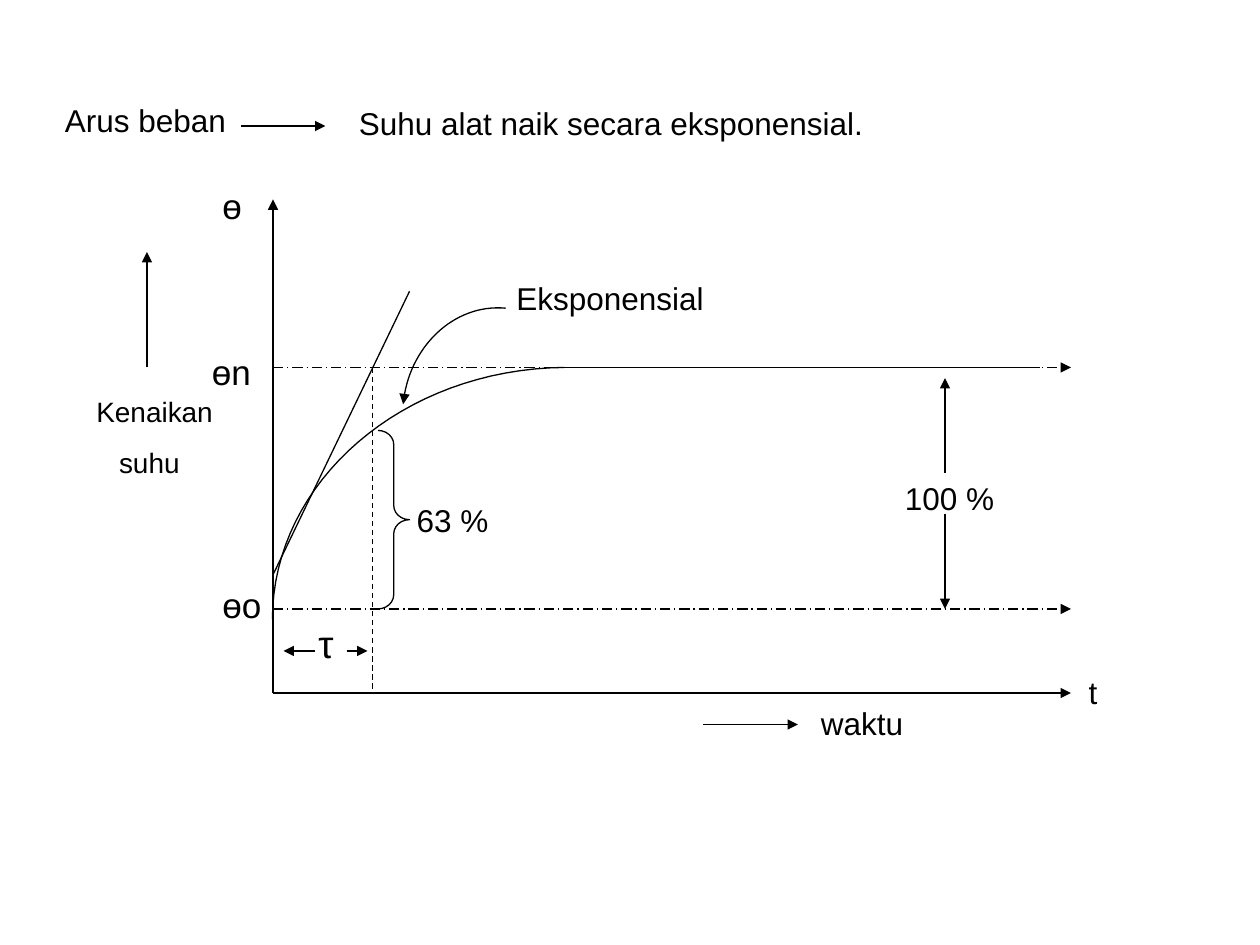
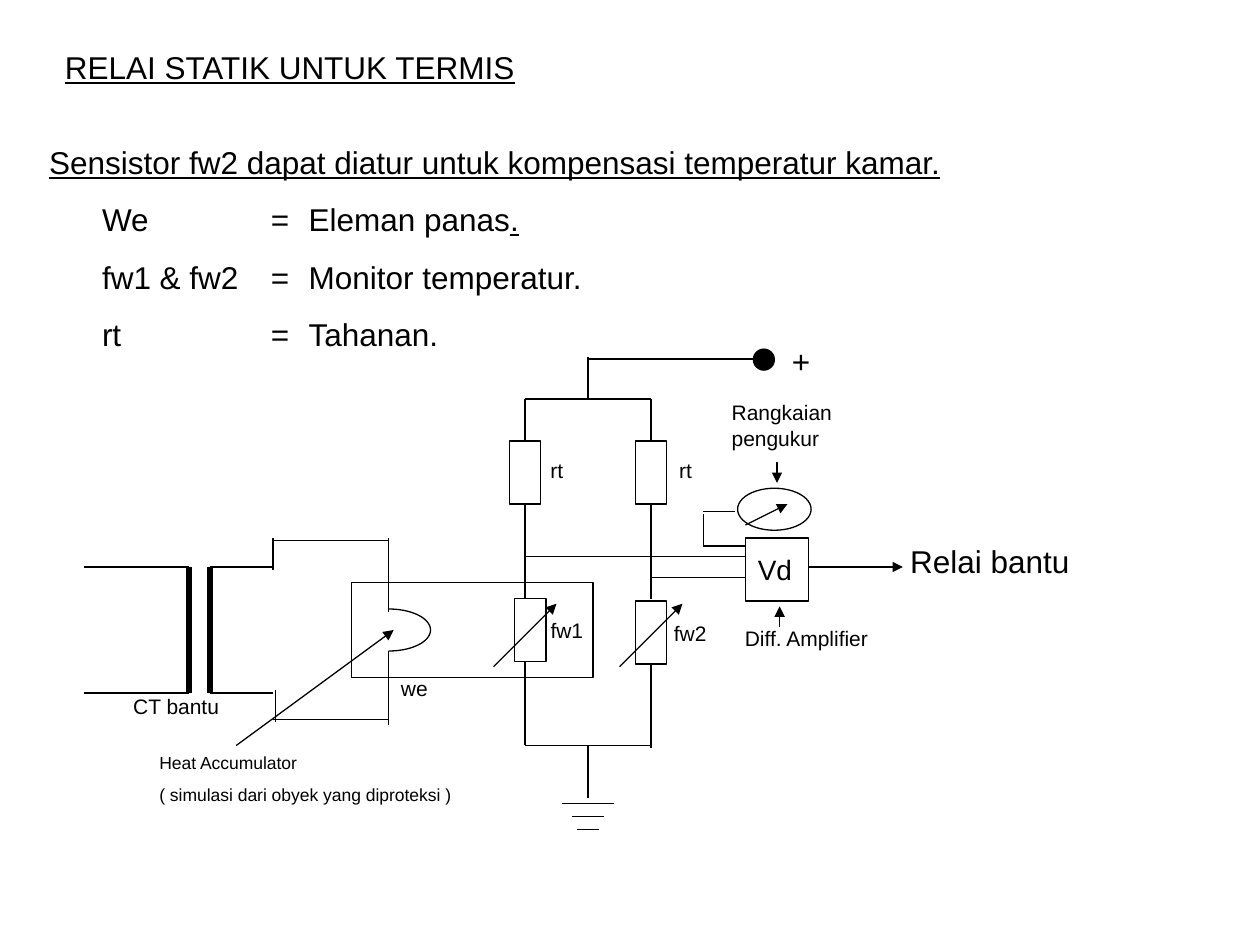
from lxml import etree
from pptx import Presentation
from pptx.dml.color import RGBColor
from pptx.enum import dml, shapes, text
from pptx.oxml import ns
from pptx.util import Inches, Pt

BLACK = RGBColor(0, 0, 0)
FONT = "Arial"
CELL = 1 / 24  # the slide is a grid of 240 columns by 180 rows
THIN, THICK = 0.75, 3
DASH = dml.MSO_LINE.DASH
CHAIN = dml.MSO_LINE.LONG_DASH_DOT
KIND = shapes.MSO_SHAPE

# Labels: column, row, width, size, paragraphs (text, or runs of text and underline)
GRAPH = dict(
    labels=[
        (10, 18, 174, 18, ["Arus beban"]),
        (66, 18.7, 138, 18, ["Suhu alat naik secara eksponensial."]),
        (16, 74, 28, 16, ["Kenaikan", "\tsuhu"], [0.18]),
        (170, 90, 24, 18, ["100 %"]),
        (205, 127, 10, 18, ["t"]),
        (96, 52, 68, 18, ["Eksponensial"]),
        (77, 94.3, 22, 18, ["63 %"]),
        (154, 133, 34, 18, ["waktu"]),
    ],
    symbols=[
        (40, 34, 8, 20, ["ө"]),
        (38, 65.5, 16, 20, ["өn"]),
        (40, 110, 18, 20, ["өo"]),
        (58.3, 116.9, 7.7, 22, ["τ"]),
    ],
    lines=[(104, 70, 198, 70), (52, 109.5, 78, 55.5)],
    dashes=[(71, 70, 71, 132)],
    chains=[(52, y, 204, y) for y in (70, 116)],
    arrows=[
        (46, 24, 62, 24),
        (52, 132, 52, 38), (52, 132, 204, 132),
        (28, 70, 28, 48), (134, 138, 152, 138),
        (180, 90, 180, 72), (180, 98, 180, 116),
        (66, 124, 70, 124), (60, 124, 54, 124),
    ],
    curves=[
        ([(107.5, 70), (76.8, 70.3), (51.9, 91.7), (51.9, 118)], False),
        ([(96.3, 58.7), (86.4, 57.8), (77.8, 66.2), (76.8, 77)], True),
    ],
    forms=[(KIND.RIGHT_BRACE, 72, 82, 6, 34)],
)

LEFT, MID, RIGHT = 100, 112, 124  # columns of the bridge circuit
CIRCUIT = dict(
    labels=[
        (10, 8, 206, 18, [[("RELAI STATIK UNTUK TERMIS", True)]]),
        (7, 26, 216, 18, [
            [("Sensistor fw2 dapat diatur untuk kompensasi temperatur kamar.", True)],
            [("\tWe\t=\tEleman panas", False), (".\t", True)],
            "\tfw1 & fw2\t=\tMonitor temperatur.",
            "\trt\t=\tTahanan.",
        ], [0.42, 1.76, 2.06, 4.19]),
        (148.5, 64, 12, 18, ["+"]),
        (171, 102, 46, 18, ["Relai bantu"]),
        (127, 86, 12, 12, ["rt"]),
        (102.5, 86, 12, 12, ["rt"]),
        (102.5, 116.5, 16, 12, ["fw1"]),
        (126, 117, 16, 12, ["fw2"]),
        (74, 127.5, 16, 12, ["we"]),
        (23, 131, 28, 12, ["CT bantu"]),
        (142, 104, 16, 16, ["Vd"]),
        (137, 75, 32, 12, ["Rangkaian pengukur"]),
        (139.5, 118, 56, 12, ["Diff. Amplifier"]),
        (28, 142, 62, 10,
         ["Heat Accumulator", "( simulasi dari obyek yang diproteksi )"]),
    ],
    lines=[
        # bridge
        *[(x, top, x, end) for x in (LEFT, RIGHT) for top, end in ((76, 84), (96, 114))],
        (LEFT, 126, LEFT, 142), (RIGHT, 126.5, RIGHT, 142.5),
        *[(LEFT, y, RIGHT, y) for y in (76, 142)],
        (MID, 68, MID, 76), (MID, 68.4, 144, 68.4), (MID, 142, MID, 152),
        (LEFT, 106, 142, 106), (RIGHT, 110, 142, 110),
        # ground
        *[(MID - half, 153 + 2.5 * i, MID + half, 153 + 2.5 * i)
          for i, half in enumerate((5, 3, 2))],
        # transformer and heater leads
        *[(a, y, b, y) for a, b in ((16, 36), (40, 52)) for y in (108, 132)],
        *[(52, y, 74, y) for y in (103, 137)],
        (52, 102.5, 52, 108.5), (52.5, 131.5, 52.5, 137.5),
        (74, 102.5, 74, 116.5), (74, 124, 74, 138),
        # meter lead
        (142, 104, 134, 104), (134, 104, 134, 98), (134, 97.5, 140, 97.5),
    ],
    cores=[(x, 108, x, 132) for x in (36, 40)],
    arrows=[
        (94, 127, 106, 115), (118, 127, 130, 115),
        (45, 142, 75, 120), (154, 108, 172, 108), (142, 100, 150, 96),
        (148.5, 119.5, 148.5, 115.5), (148, 88, 148, 92),
    ],
    curves=[([(74, 116), (78.5, 116), (82, 117.8), (82, 120),
              (82, 122.2), (78.5, 124), (74, 124)], False)],
    forms=[
        (KIND.RECTANGLE, 97, 84, 6, 12), (KIND.RECTANGLE, 121, 84, 6, 12),
        (KIND.RECTANGLE, 98, 114, 6, 12), (KIND.RECTANGLE, 121, 114.5, 6, 12),
        (KIND.RECTANGLE, 67, 111, 46, 18), (KIND.RECTANGLE, 142, 102.5, 12, 12),
        (KIND.OVAL, 140.5, 93, 14, 8),
    ],
    dots=[(KIND.OVAL, 143.5, 66.5, 4, 4)],
)


def grid(*cells):
    return [Inches(c * CELL) for c in cells]


def ink(shape, width=THIN, dash=None, tip=False):
    """Style the outline, with an arrowhead at its end if tip is set."""
    shape.line.color.rgb = BLACK
    shape.line.width = Pt(width)
    if dash:
        shape.line.dash_style = dash
    if tip:
        etree.SubElement(shape.line._get_or_add_ln(), ns.qn("a:tailEnd"), type="triangle")


def draw_line(slide, ends, **style):
    line = slide.shapes.add_connector(shapes.MSO_CONNECTOR.STRAIGHT, *grid(*ends))
    ink(line, **style)
    etree.SubElement(line._element.spPr, ns.qn("a:effectLst"))


def draw_form(slide, kind, *box, solid=False):
    form = slide.shapes.add_shape(kind, *grid(*box))
    form.shadow.inherit = False
    if solid:
        form.fill.solid()
        form.fill.fore_color.rgb = BLACK
    else:
        form.fill.background()
    if kind == KIND.RIGHT_BRACE:
        form.adjustments[0] = 0.45
    ink(form)


def bezier(knots, steps=32):
    """Points along a chain of cubic curves that share their ends."""
    points = [knots[0]]
    for k in range(0, len(knots) - 1, 3):
        for i in range(1, steps + 1):
            t = i / steps
            u = 1 - t
            mix = (u ** 3, 3 * u * u * t, 3 * u * t * t, t ** 3)
            points.append(tuple(sum(m * p[axis] for m, p in zip(mix, knots[k:k + 4]))
                                for axis in (0, 1)))
    return points


def draw_curve(slide, knots, tip):
    first, *rest = [grid(*p) for p in bezier(knots)]
    pen = slide.shapes.build_freeform(*first)
    pen.add_line_segments(rest, close=False)
    curve = pen.convert_to_shape()
    curve.shadow.inherit = False
    curve.fill.background()
    ink(curve, tip=tip)


def set_tabs(para, stops):
    tabs = etree.SubElement(para._p.get_or_add_pPr(), ns.qn("a:tabLst"))
    for stop in stops:
        etree.SubElement(tabs, ns.qn("a:tab"), pos=str(Inches(stop)), algn="l")


def write(slide, x, y, w, size, paras, stops=(), symbol=False):
    gap = 0 if symbol else size * 0.625
    high = (len(paras) * size * 1.2 + (len(paras) - 1) * gap) / 72 + 0.1
    frame = slide.shapes.add_textbox(*grid(x, y, w), Inches(high)).text_frame
    frame.word_wrap = True
    frame.auto_size = text.MSO_AUTO_SIZE.SHAPE_TO_FIT_TEXT
    if symbol:
        frame.vertical_anchor = text.MSO_ANCHOR.MIDDLE
    for i, runs in enumerate(paras):
        para = frame.add_paragraph() if i else frame.paragraphs[0]
        para.space_before = Pt(gap)
        if stops:
            set_tabs(para, stops)
        for words, under in [(runs, False)] if isinstance(runs, str) else runs:
            run = para.add_run()
            run.text = words
            font = run.font
            font.name, font.size, font.underline = FONT, Pt(size), under
            font.color.rgb = BLACK


STYLES = dict(
    lines={},
    dashes=dict(dash=DASH),
    chains=dict(dash=CHAIN, tip=True),
    cores=dict(width=THICK),
    arrows=dict(tip=True),
)


def build(deck, page):
    slide = deck.slides.add_slide(deck.slide_layouts[6])
    for form in page["forms"]:
        draw_form(slide, *form)
    for dot in page.get("dots", []):
        draw_form(slide, *dot, solid=True)
    for group, style in STYLES.items():
        for ends in page.get(group, []):
            draw_line(slide, ends, **style)
    for knots, tip in page["curves"]:
        draw_curve(slide, knots, tip)
    for label in page["labels"]:
        write(slide, *label)
    for label in page.get("symbols", []):
        write(slide, *label, symbol=True)


def main():
    deck = Presentation()
    deck.slide_width, deck.slide_height = grid(240, 180)
    for page in (GRAPH, CIRCUIT):
        build(deck, page)
    deck.save("out.pptx")


if __name__ == "__main__":
    main()
